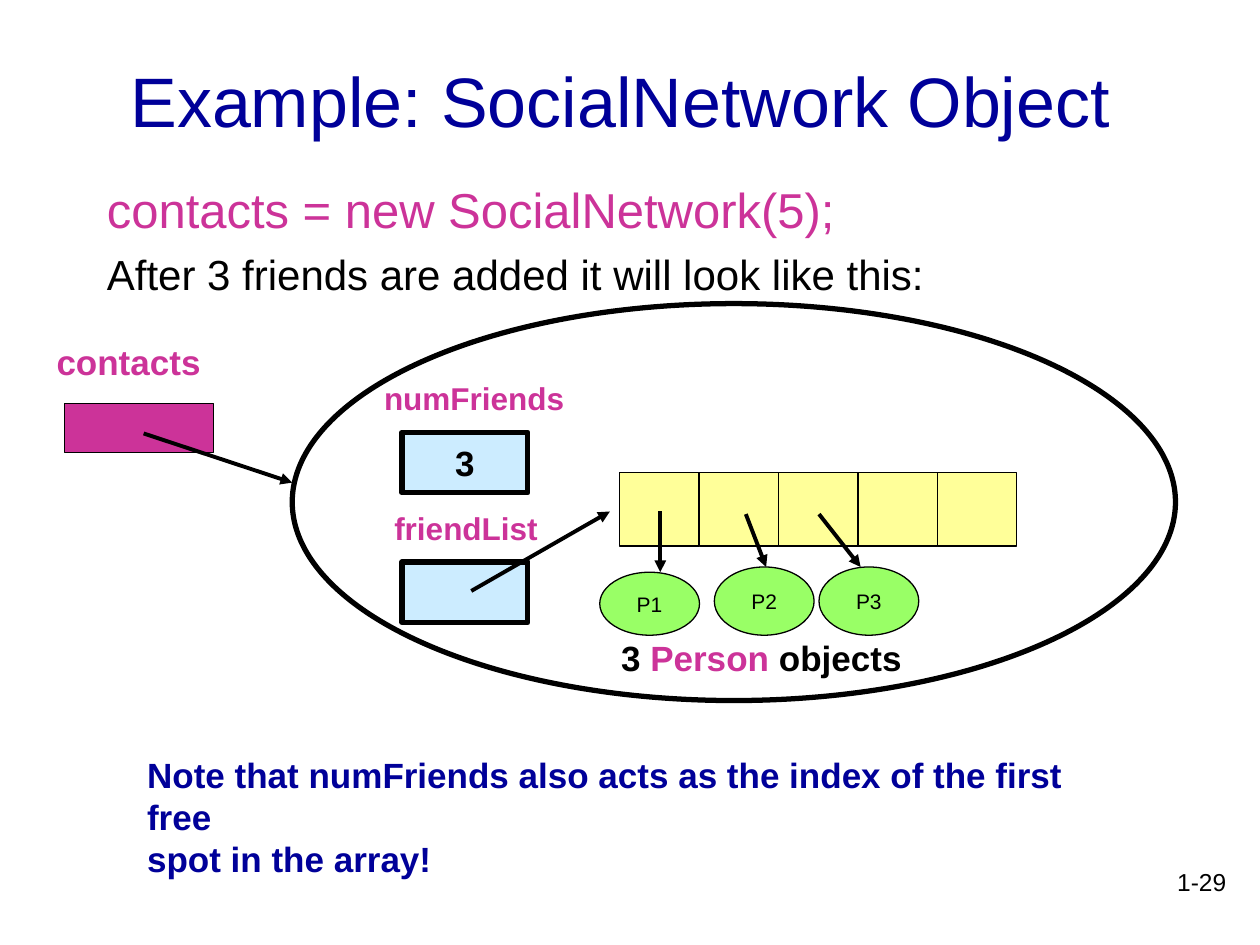
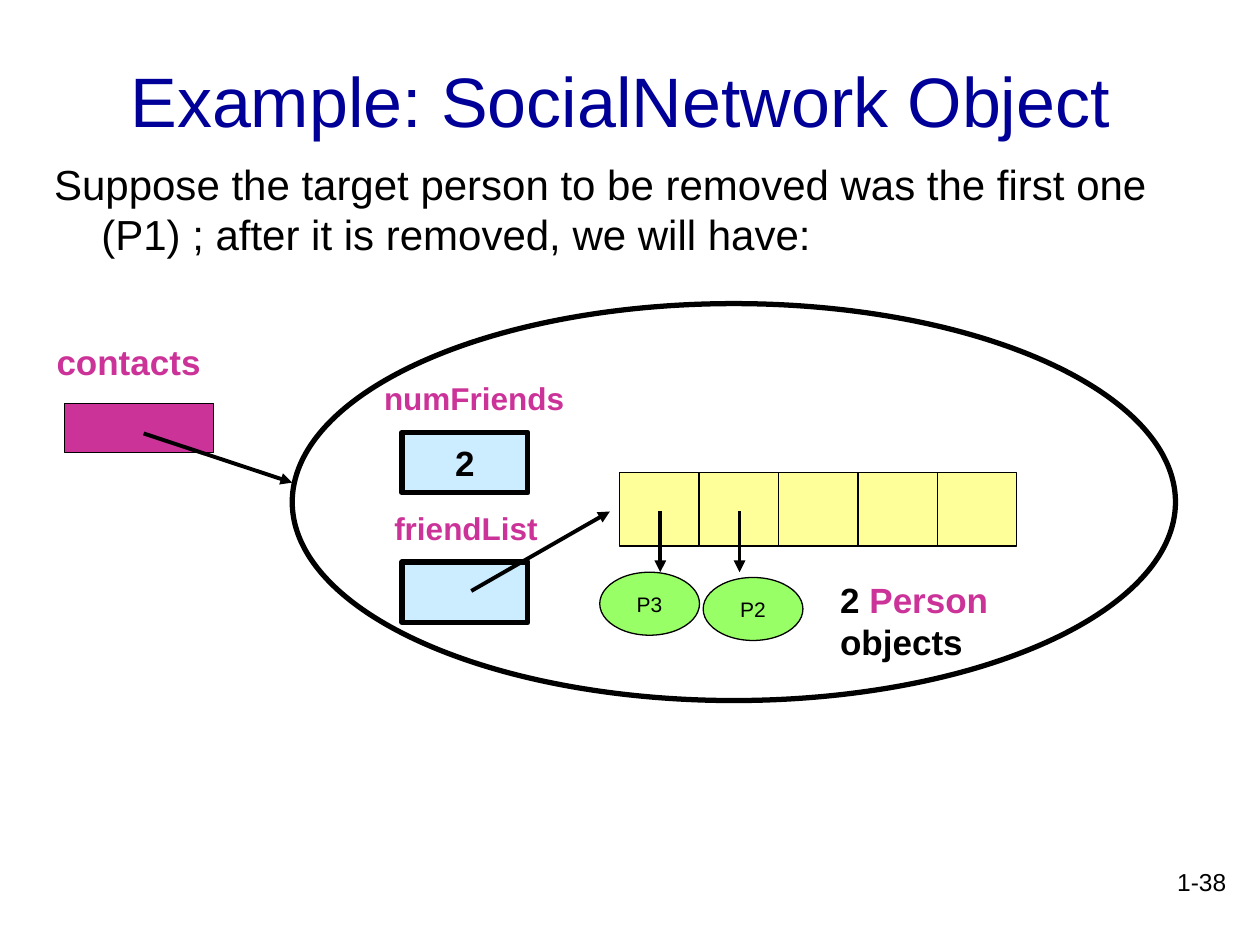
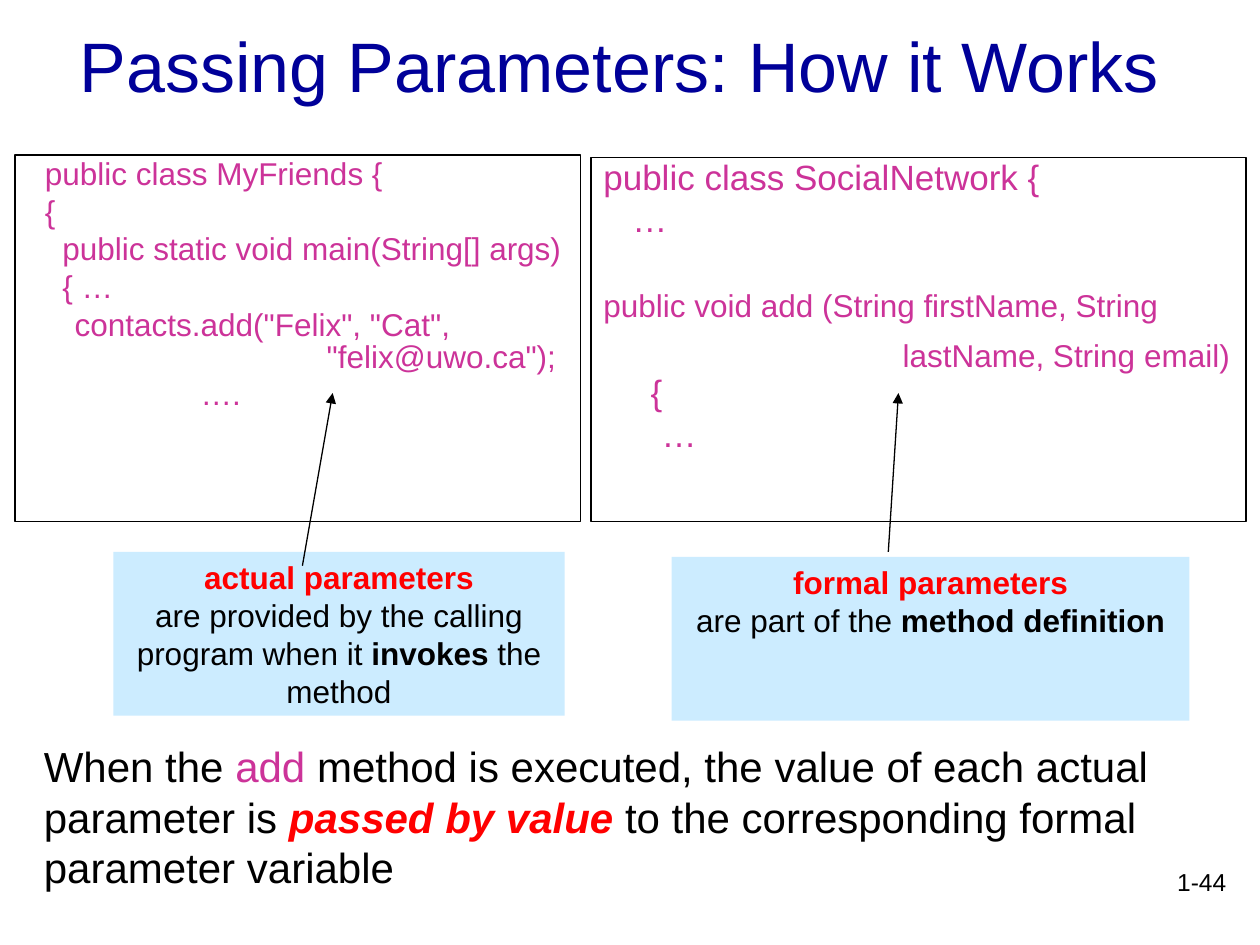
from lxml.etree import SubElement
from pptx import Presentation
from pptx.dml.color import RGBColor
from pptx.enum.shapes import MSO_CONNECTOR as Connector, MSO_SHAPE as Shape
from pptx.enum.text import MSO_ANCHOR as Anchor, PP_ALIGN as Align
from pptx.oxml.ns import qn
from pptx.util import Pt

# Shared style
FONT = "Arial"
BLACK = RGBColor(0x00, 0x00, 0x00)
NAVY = RGBColor(0x00, 0x00, 0x99)
MAGENTA = RGBColor(0xCC, 0x33, 0x99)
RED = RGBColor(0xFF, 0x00, 0x00)
SKY = RGBColor(0xCC, 0xEC, 0xFF)
YELLOW = RGBColor(0xFF, 0xFF, 0x99)
GREEN = RGBColor(0x99, 0xFF, 0x66)

THIN, MEDIUM, THICK = 0.75, 2.25, 3

# Content: a run is (text, colour, style), where style holds "b" and "i"
OBJECT_TITLE = "Example: SocialNetwork Object"
OBJECT_TITLE_BOX = (48.4, 12, 612, 90)

# Each network: number, intro box, intro lines (text, size, colour), persons
# (name, box), pointers (from, to), and the caption box
NETWORKS = [
    {
        "number": "1-29",
        "intro_box": (54, 99, 630, 80),
        "intro": [("contacts = new SocialNetwork(5);", 28, MAGENTA),
                  ("After 3 friends are added it will look like this:", 24, BLACK)],
        "persons": [("P1", (342.7, 327, 57, 36)),
                    ("P2", (408.2, 324, 57, 39)),
                    ("P3", (468, 324, 57, 39))],
        "pointers": [((377.3, 292.3), (377.3, 327)),
                     ((426.2, 293.8), (437.8, 324)),
                     ((468, 293.8), (491.8, 324))],
        "caption_box": (347.8, 360, 244.8, 31),
    },
    {
        "number": "1-38",
        "intro_box": (23.8, 87, 660, 80),
        "intro": [("Suppose the target person to be removed was the first one (P1) ; "
                   "after it is removed, we will have:", 24, BLACK)],
        "persons": [("P3", (342.7, 327, 57, 36)),
                    ("P2", (401.8, 330, 57, 36))],
        "pointers": [((377.3, 292.3), (377.3, 327)),
                     ((422.6, 292.3), (422.6, 327))],
        "caption_box": (473, 327, 118.8, 55),
    },
]

NOTE = ["Note that numFriends also acts as the index of the first free",
        "spot in the array!"]

FIELD_LABELS = [("contacts", 20, (25.2, 190.8, 114.5, 31)),
                ("friendList", 18, (218.2, 287.3, 126, 29)),
                ("numFriends", 18, (212.4, 213.1, 126.7, 29))]

# Code lines: text, size, left indent, space before
CALLER_CODE = [
    ("  public class MyFriends {", 18, 0, 0),
    ("  {", 18, 0, 4.25),
    ("    public static void main(String[] args)", 18, 0, 4.25),
    ("    { …", 18, 0, 4.25),
    ('contacts.add("Felix", "Cat",', 18, 27, 4.25),
    ('"felix@uwo.ca");', 18, 171, 1),
    ("….", 18, 99, 4.25),
]
METHOD_CODE = [
    ("public class SocialNetwork {", 20, 0, 0),
    ("   …", 20, 0, 4.6),
    ("public void add (String firstName, String", 18, 0, 31),
    ("lastName, String email)", 18, 171, 11.5),
    ("{", 20, 27, 2.7),
    ("      …", 20, 0, 4.6),
]
CODE_BOXES = [(CALLER_CODE, (8.6, 88.6, 323.3, 209.5)),
              (METHOD_CODE, (337.7, 90, 374.4, 208.1))]

EXPLANATIONS = [
    ((64.8, 315.4, 257.8, 93.6),
     [[("actual parameters", RED, "b")],
      [("are provided by the calling program when it ", BLACK, ""),
       ("invokes", BLACK, "b"), (" the method", BLACK, "")]]),
    ((383.8, 318.2, 295.9, 93.6),
     [[("formal parameters", RED, "b")],
      [("are part of the ", BLACK, ""), ("method definition", BLACK, "b")]]),
]
PARAMETER_ARROWS = [((507.6, 315.4), (513.4, 224.6)),
                    ((172.8, 323.3), (190.1, 224.6))]
SUMMARY = [("When the ", BLACK, ""), ("add", MAGENTA, ""),
           (" method is executed, the value of each actual parameter is ", BLACK, ""),
           ("passed by value", RED, "bi"),
           (" to the corresponding formal parameter variable", BLACK, "")]


def points(values):
    return [Pt(value) for value in values]


def fill_paragraph(paragraph, runs, size, align=Align.LEFT):
    paragraph.alignment = align
    for text, color, style in runs:
        run = paragraph.add_run()
        run.text = text
        font = run.font
        font.name, font.size = FONT, Pt(size)
        font.bold, font.italic = "b" in style, "i" in style
        font.color.rgb = color


def write(shape, paragraphs, size, align=Align.LEFT, anchor=Anchor.TOP, wrap=True):
    """Fill a shape with paragraphs, each a list of runs; return them."""
    frame = shape.text_frame
    frame.word_wrap = wrap
    frame.vertical_anchor = anchor
    for index, runs in enumerate(paragraphs):
        paragraph = frame.add_paragraph() if index else frame.paragraphs[0]
        fill_paragraph(paragraph, runs, size, align)
    return frame.paragraphs


def add_text(slide, box, paragraphs, size, **options):
    return write(slide.shapes.add_textbox(*points(box)), paragraphs, size, **options)


def add_box(slide, kind, box, fill=None, line=None):
    shape = slide.shapes.add_shape(kind, *points(box))
    shape.shadow.inherit = False
    if fill is None:
        shape.fill.background()
    else:
        shape.fill.solid()
        shape.fill.fore_color.rgb = fill
    if line is None:
        shape.line.fill.background()
    else:
        shape.line.color.rgb = BLACK
        shape.line.width = Pt(line)
    return shape


def add_arrow(slide, start, end, width=MEDIUM):
    arrow = slide.shapes.add_connector(Connector.STRAIGHT, *points(start + end))
    arrow.line.color.rgb = BLACK
    arrow.line.width = Pt(width)
    SubElement(arrow.line._get_or_add_ln(), qn("a:tailEnd"), type="triangle")
    SubElement(arrow._element.spPr, qn("a:effectLst"))


def add_slide(presentation, title, title_box, number):
    slide = presentation.slides.add_slide(presentation.slide_layouts[6])
    add_text(slide, (558, 491.8, 149.8, 36), [[(number, BLACK, "")]], 14, align=Align.RIGHT)
    add_text(slide, title_box, [[(title, NAVY, "")]], 40,
             align=Align.CENTER, anchor=Anchor.MIDDLE)
    return slide


def add_network_slide(presentation, network):
    slide = add_slide(presentation, OBJECT_TITLE, OBJECT_TITLE_BOX, network["number"])
    count = str(len(network["persons"]))

    # Introduction with hanging indent
    lines = network["intro"]
    paragraphs = add_text(slide, network["intro_box"], [[] for _ in lines], 24)
    for index, (paragraph, (text, size, color)) in enumerate(zip(paragraphs, lines)):
        fill_paragraph(paragraph, [(text, color, "")], size)
        paragraph._p.get_or_add_pPr().set("marL", str(Pt(27)))
        paragraph._p.get_or_add_pPr().set("indent", str(-Pt(27)))
        if index:
            paragraph.space_before = Pt(5.8)

    # Object outline, variable and fields
    add_box(slide, Shape.OVAL, (167, 173.5, 504.7, 226.8), line=THICK)
    add_box(slide, Shape.RECTANGLE, (36.9, 230.4, 85, 28.1), MAGENTA, THIN)
    for text, size, box in FIELD_LABELS:
        add_text(slide, box, [[(text, MAGENTA, "b")]], size)
    add_box(slide, Shape.RECTANGLE, (229.7, 321.1, 72, 34.6), SKY, THICK)
    number_box = add_box(slide, Shape.RECTANGLE, (229.7, 247, 72, 34.6), SKY, THICK)
    write(number_box, [[(count, BLACK, "b")]], 20, align=Align.CENTER, anchor=Anchor.MIDDLE)

    # Array cells
    cell_width = 45.36
    for index in range(5):
        add_box(slide, Shape.RECTANGLE,
                (354.2 + index * cell_width, 270, cell_width, 42), YELLOW, THIN)

    # Persons, references and caption
    for name, box in network["persons"]:
        person = add_box(slide, Shape.OVAL, box, GREEN, THIN)
        write(person, [[(name, BLACK, "")]], 12,
              align=Align.CENTER, anchor=Anchor.MIDDLE, wrap=False)
    references = [((82.1, 247.7), (167, 275.8)), ((269.3, 337.7), (348.5, 292.3))]
    for start, end in references + network["pointers"]:
        add_arrow(slide, start, end)
    caption = [(count + " ", BLACK, "b"), ("Person ", MAGENTA, "b"), ("objects", BLACK, "b")]
    add_text(slide, network["caption_box"], [caption], 20)
    return slide


def add_parameter_slide(presentation):
    slide = add_slide(presentation, "Passing Parameters: How it Works",
                      (19.4, -7.9, 668.9, 90), "1-44")

    # Code panels
    for code, box in CODE_BOXES:
        panel = add_box(slide, Shape.RECTANGLE, box, line=THIN)
        panel.text_frame.margin_right = 0
        paragraphs = write(panel, [[] for _ in code], 18)
        for paragraph, (text, size, indent, space) in zip(paragraphs, code):
            fill_paragraph(paragraph, [(text, MAGENTA, "")], size)
            paragraph._p.get_or_add_pPr().set("marL", str(Pt(indent)))
            paragraph.line_spacing = 0.8
            paragraph.space_before = Pt(space)

    # Explanations, arrows and summary
    for box, paragraphs in EXPLANATIONS:
        write(add_box(slide, Shape.RECTANGLE, box, SKY), paragraphs, 18, align=Align.CENTER)
    for start, end in PARAMETER_ARROWS:
        add_arrow(slide, start, end, THIN)
    add_text(slide, (18, 419.8, 684, 94.3), [SUMMARY], 24)


def main():
    presentation = Presentation()
    presentation.slide_width, presentation.slide_height = Pt(720), Pt(540)
    first_slide, _ = [add_network_slide(presentation, network) for network in NETWORKS]
    add_text(first_slide, (77, 427, 576, 80), [[(line, NAVY, "b")] for line in NOTE], 20)
    add_parameter_slide(presentation)
    presentation.save("out.pptx")


if __name__ == "__main__":
    main()
